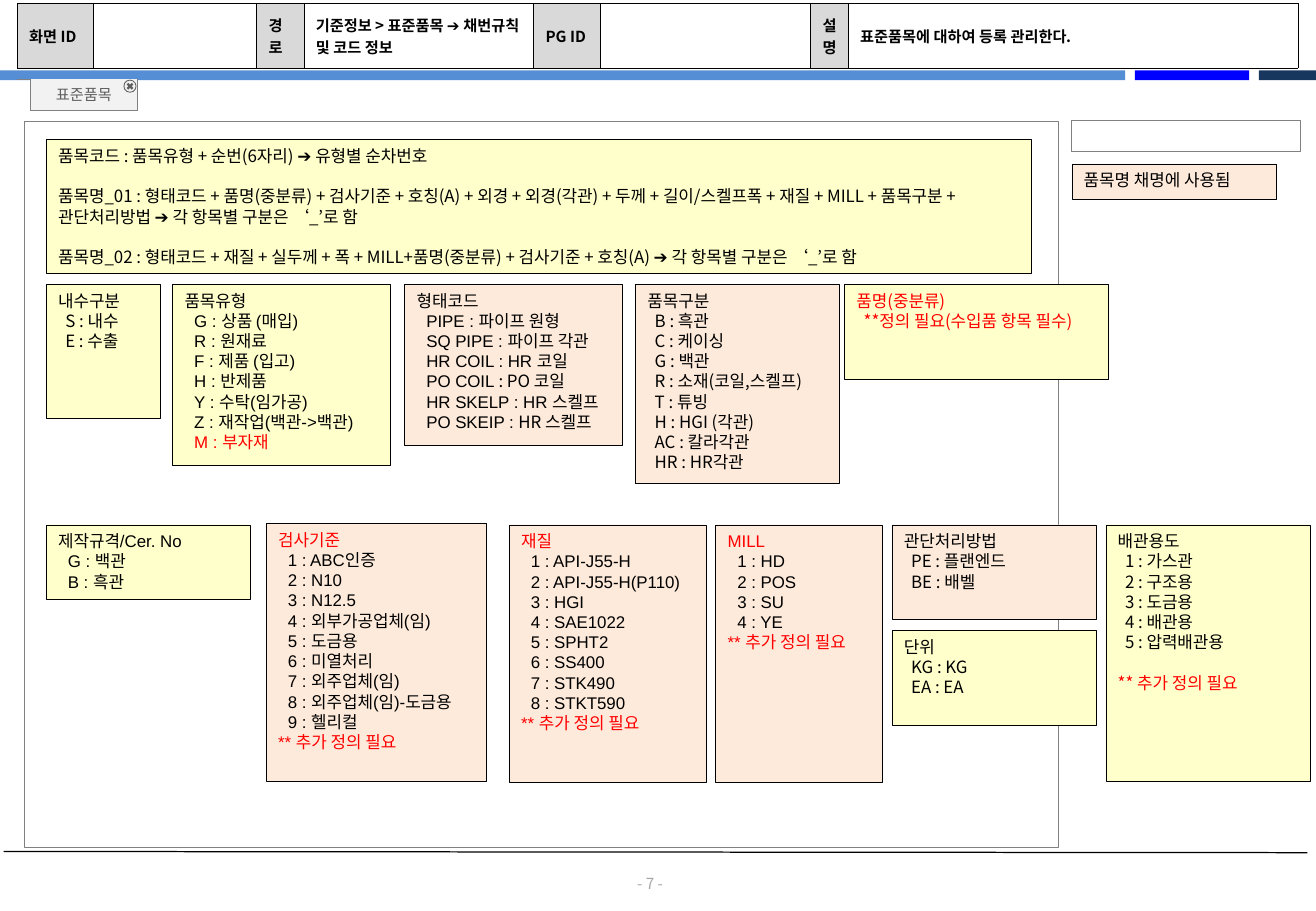
from lxml.etree import SubElement
from pptx import Presentation
from pptx.dml.color import RGBColor
from pptx.enum.shapes import MSO_CONNECTOR, MSO_SHAPE
from pptx.enum.text import MSO_ANCHOR, PP_ALIGN
from pptx.oxml import parse_xml
from pptx.oxml.ns import nsdecls, qn
from pptx.util import Inches, Pt

NOTO, ARIAL, LATO = "Noto Sans CJK KR", "Arial", "Lato"
YELLOW, PEACH, WHITE = "FFFFCC", "FDEADA", "FFFFFF"
BLACK, RED, GRAY = "000000", "FF0000", "808080"
INDENTS = {NOTO: 0.06, ARIAL: 0.08}


def color(hex_text):
    return RGBColor.from_string(hex_text)


class SlideBuilder:
    def __init__(self, presentation):
        self.slide = presentation.slides.add_slide(presentation.slide_layouts[5])
        self.shapes = self.slide.shapes

    def format_frame(self, frame, anchor, horizontal=0.1, vertical=0.05):
        values = {
            "word_wrap": True, "vertical_anchor": anchor,
            "margin_left": Inches(horizontal), "margin_right": Inches(horizontal),
            "margin_top": Inches(vertical), "margin_bottom": Inches(vertical),
        }
        for name, value in values.items():
            setattr(frame, name, value)

    def add_run(self, paragraph, text, size, font=NOTO, hex_text=BLACK, bold=False):
        run = paragraph.add_run()
        run.text = text
        values = {"size": Pt(size), "name": font, "bold": bold}
        for name, value in values.items():
            setattr(run.font, name, value)
        run.font.color.rgb = color(hex_text)
        SubElement(run.font._element, qn("a:ea")).set("typeface", NOTO)

    def style_outline(self, shape, fill, line, width):
        shape.shadow.inherit = False
        if fill:
            shape.fill.solid()
            shape.fill.fore_color.rgb = color(fill)
        else:
            shape.fill.background()
        if line:
            shape.line.color.rgb = color(line)
            shape.line.width = Pt(width)
        else:
            shape.line.fill.background()

    def add_block(self, place, fill=None, line=None, width=0.5, kind=MSO_SHAPE.RECTANGLE):
        shape = self.shapes.add_shape(kind, *map(Inches, place))
        self.style_outline(shape, fill, line, width)
        return shape

    def add_line(self, start, end, hex_text, width):
        connector = self.shapes.add_connector(
            MSO_CONNECTOR.STRAIGHT, *map(Inches, start + end))
        connector.line.color.rgb = color(hex_text)
        connector.line.width = Pt(width)
        SubElement(connector._element.spPr, qn("a:effectLst"))

    def add_code_box(self, place, fill, heading, items=(), note="", font=NOTO,
                     item_font=None, heading_color=BLACK, note_gap=0,
                     indented=True, item_gap=0):
        """Items starting with ! are red; text after | is set in the Korean font."""
        frame = self.add_block(place, fill, BLACK, 0.25).text_frame
        self.format_frame(frame, MSO_ANCHOR.TOP)
        item_font = item_font or font
        lines = [(heading, font, heading_color, 0, 0)]
        for item in items:
            lines.append((item.lstrip("!"), item_font, RED if item[0] == "!" else BLACK,
                          INDENTS[item_font] if indented else 0, item_gap))
        if note:
            lines.append((note, item_font, RED, 0, note_gap))
        for number, (text, name, hex_text, indent, gap) in enumerate(lines):
            paragraph = frame.add_paragraph() if number else frame.paragraphs[0]
            properties = paragraph._p.get_or_add_pPr()
            properties.set("marL", str(Inches(indent)))
            properties.set("indent", "0")
            values = {"alignment": PP_ALIGN.LEFT, "line_spacing": Pt(12),
                      "space_before": Pt(gap)}
            for attribute, value in values.items():
                setattr(paragraph, attribute, value)
            for part, part_font in zip(text.split("|"), (name, NOTO)):
                self.add_run(paragraph, part, 10, part_font, hex_text)

    def add_header_table(self, place, widths, texts):
        table = self.shapes.add_table(1, len(widths), *map(Inches, place)).table
        table.first_row = table.horz_banding = False
        for number, (width, text) in enumerate(zip(widths, texts)):
            table.columns[number].width = Inches(width)
            cell = table.cell(0, number)
            cell.vertical_anchor = MSO_ANCHOR.MIDDLE
            if text:
                self.add_run(cell.text_frame.paragraphs[0], text, 9, bold=True)
            properties = cell._tc.get_or_add_tcPr()
            for side in ("lnL", "lnR", "lnT", "lnB"):
                properties.append(parse_xml(
                    f'<a:{side} {nsdecls("a")} w="3175"><a:solidFill>'
                    f'<a:srgbClr val="{BLACK}"/></a:solidFill></a:{side}>'))
            cell.fill.solid()
            cell.fill.fore_color.rgb = color(WHITE if number % 2 else "D9D9D9")

    def add_tab(self, left, top, width, height, text):
        right, bottom = left + width, top + height
        self.add_line((left, top), (0.14, top), GRAY, 0.5)
        builder = self.shapes.build_freeform(Inches(right), Inches(top), scale=1.0)
        corners = [(right, bottom), (left, bottom), (left, top)]
        builder.add_line_segments(
            [(Inches(x), Inches(y)) for x, y in corners], close=False)
        self.style_outline(builder.convert_to_shape(), "F2F2F2", GRAY, 0.5)
        title = self.shapes.title
        title.element.getparent().append(title.element)
        values = {"left": left, "top": top, "width": width, "height": height}
        for name, value in values.items():
            setattr(title, name, Inches(value))
        self.format_frame(title.text_frame, MSO_ANCHOR.MIDDLE, 0.05)
        paragraph = title.text_frame.paragraphs[0]
        paragraph.alignment = PP_ALIGN.CENTER
        self.add_run(paragraph, text, 9, LATO, "5F5F5F")
        self.add_block((1.02, 0.66, 0.1, 0.1), None, "5F5F5F", 0.5, MSO_SHAPE.OVAL)
        self.add_block((1.03, 0.67, 0.08, 0.08), "5F5F5F", kind=MSO_SHAPE.MATH_MULTIPLY)

    def add_page_number(self, place, text):
        frame = self.shapes.add_textbox(*map(Inches, place)).text_frame
        self.format_frame(frame, MSO_ANCHOR.MIDDLE, 0, 0)
        frame.paragraphs[0].alignment = PP_ALIGN.CENTER
        self.add_run(frame.paragraphs[0], text, 9, hex_text="A6A6A6")


def main():
    presentation = Presentation()
    presentation.slide_width, presentation.slide_height = Inches(10.83), Inches(7.5)
    builder = SlideBuilder(presentation)

    for left, width, fill in ((0, 9.26, "558ED5"), (9.34, 0.94, "0000FF"),
                              (10.36, 0.47, "17375E")):
        builder.add_block((left, 0.58, width, 0.08), fill)
    builder.add_line((0.03, 7.01), (10.76, 7.02), BLACK, 0.75)
    builder.add_page_number((5.05, 7.2, 0.6, 0.15), "- 7 -")
    builder.add_block((0.2, 1, 8.51, 5.98), None, GRAY)
    builder.add_header_table(
        (0.14, 0.03, 10.55, 0.53), (0.63, 1.34, 0.39, 1.89, 0.55, 1.73, 0.31, 3.7),
        ("화면 ID", "", "경로", "기준정보 > 표준품목 ➔ 채번규칙 및 코드 정보",
         "PG ID", "", "설명", "표준품목에 대하여 등록 관리한다."))
    builder.add_tab(0.25, 0.65, 0.88, 0.26, "표준품목")
    builder.add_block((8.82, 0.99, 1.88, 0.26), WHITE, GRAY)

    builder.add_code_box(
        (0.38, 1.15, 8.11, 1.1), YELLOW,
        "품목코드 : 품목유형 + 순번(6자리) ➔ 유형별 순차번호",
        ("품목명_01 : 형태코드 + 품명(중분류) + 검사기준 + 호칭(A) + 외경 + 외경(각관) + 두께 + "
         "길이/스켈프폭 + 재질 + MILL + 품목구분 + 관단처리방법 ➔ 각 항목별 구분은 ‘_’로 함",
         "품목명_02 : 형태코드 + 재질 + 실두께 + 폭 + MILL+품명(중분류) + 검사기준 + 호칭(A) "
         "➔ 각 항목별 구분은 ‘_’로 함"), indented=False, item_gap=12)

    upper, lower, more = 2.34, 4.32, "** 추가 정의 필요"
    builder.add_code_box((0.38, upper, 0.94, 1.1), YELLOW, "내수구분",
                         ("S : 내수", "E : 수출"))
    builder.add_code_box(
        (1.42, upper, 1.79, 1.49), YELLOW, "품목유형",
        ("G : 상품 (매입)", "R : 원재료", "F : 제품 (입고)", "H : 반제품",
         "Y : 수탁(임가공)", "Z : 재작업(백관->백관)", "!M : 부자재"), item_font=ARIAL)
    builder.add_code_box(
        (3.33, upper, 1.79, 1.33), PEACH, "형태코드",
        ("PIPE : 파이프 원형", "SQ PIPE : 파이프 각관", "HR COIL : HR 코일",
         "PO COIL |: PO 코일", "HR SKELP : HR 스켈프", "PO SKEIP : |HR 스켈프"), font=ARIAL)
    builder.add_code_box(
        (5.23, upper, 1.68, 1.64), PEACH, "품목구분",
        ("B : 흑관", "C : 케이싱", "G : 백관", "R : 소재(코일,스켈프)", "T : 튜빙",
         "H : HGI (각관)", "AC : 칼라각관", "HR : HR각관"))
    builder.add_code_box((6.95, upper, 2.17, 0.78), YELLOW, "품명(중분류)",
                         ("!**정의 필요(수입품 항목 필수)",), heading_color=RED)

    builder.add_code_box((0.38, lower, 1.68, 0.61), YELLOW, "제작규격/Cer. No",
                         ("G : 백관", "B : 흑관"), font=ARIAL)
    red_boxes = (
        (2.19, 4.31, 1.81, "검사기준",
         ("ABC인증", "N10", "N12.5", "외부가공업체(임)", "도금용", "미열처리",
          "외주업체(임)", "외주업체(임)-도금용", "헬리컬")),
        (4.19, lower, 1.62, "재질",
         ("API-J55-H", "API-J55-H(P110)", "HGI", "SAE1022", "SPHT2", "SS400",
          "STK490", "STKT590")),
        (5.89, lower, 1.37, "MILL", ("HD", "POS", "SU", "YE")),
    )
    for left, top, width, heading, names in red_boxes:
        items = [f"{number} : {name}" for number, name in enumerate(names, 1)]
        builder.add_code_box((left, top, width, 2.12), PEACH, heading, items, more,
                             font=ARIAL, heading_color=RED)
    builder.add_code_box((7.34, lower, 1.68, 0.78), PEACH, "관단처리방법",
                         ("PE : 플랜엔드", "BE : 배벨"))
    builder.add_code_box((7.34, 5.19, 1.68, 0.78), YELLOW, "단위",
                         ("KG : KG", "EA : EA"))
    builder.add_code_box(
        (9.1, lower, 1.68, 2.11), YELLOW, "배관용도",
        ("1 : 가스관", "2 : 구조용", "3 : 도금용", "4 : 배관용", "5 : 압력배관용"),
        more, note_gap=12)
    builder.add_code_box((8.82, 1.35, 1.68, 0.29), PEACH, "품목명 채명에 사용됨")
    presentation.save("out.pptx")


if __name__ == "__main__":
    main()
